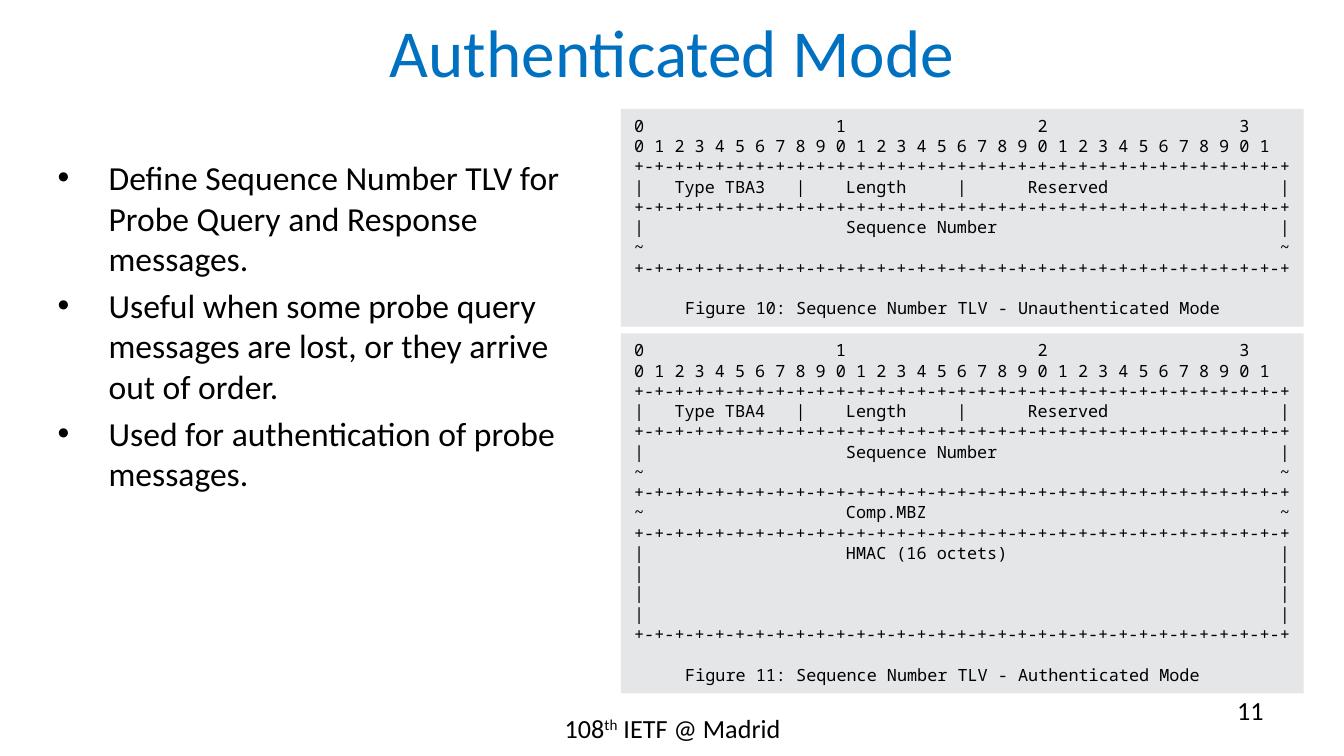
import pptx
import pptx.util
import pptx.dml.color
import pptx.enum.shapes
import pptx.enum.text
from lxml import etree

Inches, Pt = pptx.util.Inches, pptx.util.Pt
ALIGN = pptx.enum.text.PP_ALIGN
ANCHOR = pptx.enum.text.MSO_ANCHOR
COLORS = {"title": "0070C0", "text": "000000", "panel": "E5E6E8"}

prs = pptx.Presentation()
prs.slide_width = Inches(10)
prs.slide_height = Inches(10) * 9 // 16
s = prs.slides.add_slide(prs.slide_layouts[6])


def add_run(p, text, size, color="text", font="Calibri"):
    r = p.add_run()
    r.text = text
    r.font.size = Pt(size)
    r.font.name = font
    r.font.color.rgb = pptx.dml.color.RGBColor.from_string(COLORS[color])
    return r


def add_text(left, top, width, height, align=ALIGN.LEFT, anchor=ANCHOR.TOP):
    tf = s.shapes.add_textbox(Inches(left), Inches(top), Inches(width), Inches(height)).text_frame
    tf.word_wrap = True
    tf.vertical_anchor = anchor
    tf.paragraphs[0].alignment = align
    return tf


title = add_text(0.5, -0.03, 9, 0.82, ALIGN.CENTER, ANCHOR.MIDDLE)
add_run(title.paragraphs[0], "Authenticated Mode", 36, "title")

footer = add_text(3.42, 5.25, 3.17, 0.39, ALIGN.CENTER).paragraphs[0]
add_run(footer, "108", 14)
add_run(footer, "th", 14).font._element.set("baseline", "30000")
add_run(footer, " IETF @ Madrid", 14)

tens = "".join(str(n).ljust(20) for n in range(4)).rstrip()
bits = " ".join(str(n % 10) for n in range(32))
rule = "+-" * 32 + "+"
edge, wave = ("{0}{1:63}{0}".format(mark, "") for mark in "|~")
sequence = "|" + (" " * 20 + "Sequence Number").ljust(63) + "|"
padding = "~" + (" " * 20 + "Comp.MBZ").ljust(63) + "~"
hmac = "|" + (" " * 20 + "HMAC (16 octets)").ljust(63) + "|"
panels = [
    (2.48, 2.68, "TBA4", [padding, rule, hmac, edge, edge, edge, rule],
     "Figure 11: Sequence Number TLV - Authenticated Mode"),
    (0.81, 1.62, "TBA3", [], "Figure 10: Sequence Number TLV - Unauthenticated Mode"),
]
for top, height, tlv_type, extra, caption in panels:
    panel = s.shapes.add_shape(pptx.enum.shapes.MSO_SHAPE.RECTANGLE,
                               Inches(4.62), Inches(top), Inches(5.08), Inches(height))
    panel.shadow.inherit = False
    panel.fill.solid()
    panel.fill.fore_color.rgb = pptx.dml.color.RGBColor.from_string(COLORS["panel"])
    panel.line.fill.background()
    tf = panel.text_frame
    tf.word_wrap = True
    tf.vertical_anchor = ANCHOR.TOP
    header = f"|   Type {tlv_type}   |    Length     |      Reserved".ljust(64) + "|"
    lines = [tens, bits, rule, header, rule, sequence, wave, rule] + extra + [caption]
    for i, line in enumerate(lines):
        p = tf.paragraphs[0] if i == 0 else tf.add_paragraph()
        p.alignment = ALIGN.LEFT
        p.line_spacing = Pt(10.85)
        add_run(p, line, 9, font="Noto Sans Mono")
    p.space_before = Pt(10.85)
    p._p.get_or_add_pPr().set("marL", str(Inches(0.38)))

number = add_text(7.17, 5.12, 2.33, 0.39, ALIGN.RIGHT)
add_run(number.paragraphs[0], "11", 14)

points = [
    "Define Sequence Number TLV for Probe Query and Response messages.",
    "Useful when some probe query messages are lost, or they arrive out of order.",
    "Used for authentication of probe messages.",
]
body = add_text(0.33, 1.12, 4.25, 2.68)
for i, point in enumerate(points):
    p = body.paragraphs[0] if i == 0 else body.add_paragraph()
    p.space_before = Pt(3.6)
    pPr = p._p.get_or_add_pPr()
    pPr.set("marL", str(Inches(0.38)))
    pPr.set("indent", str(-Inches(0.38)))
    for tag, key, value in (("buFont", "typeface", "Arial"), ("buChar", "char", "•")):
        etree.SubElement(pPr, pptx.oxml.ns.qn("a:" + tag)).set(key, value)
    add_run(p, point, 18)

prs.save("out.pptx")
